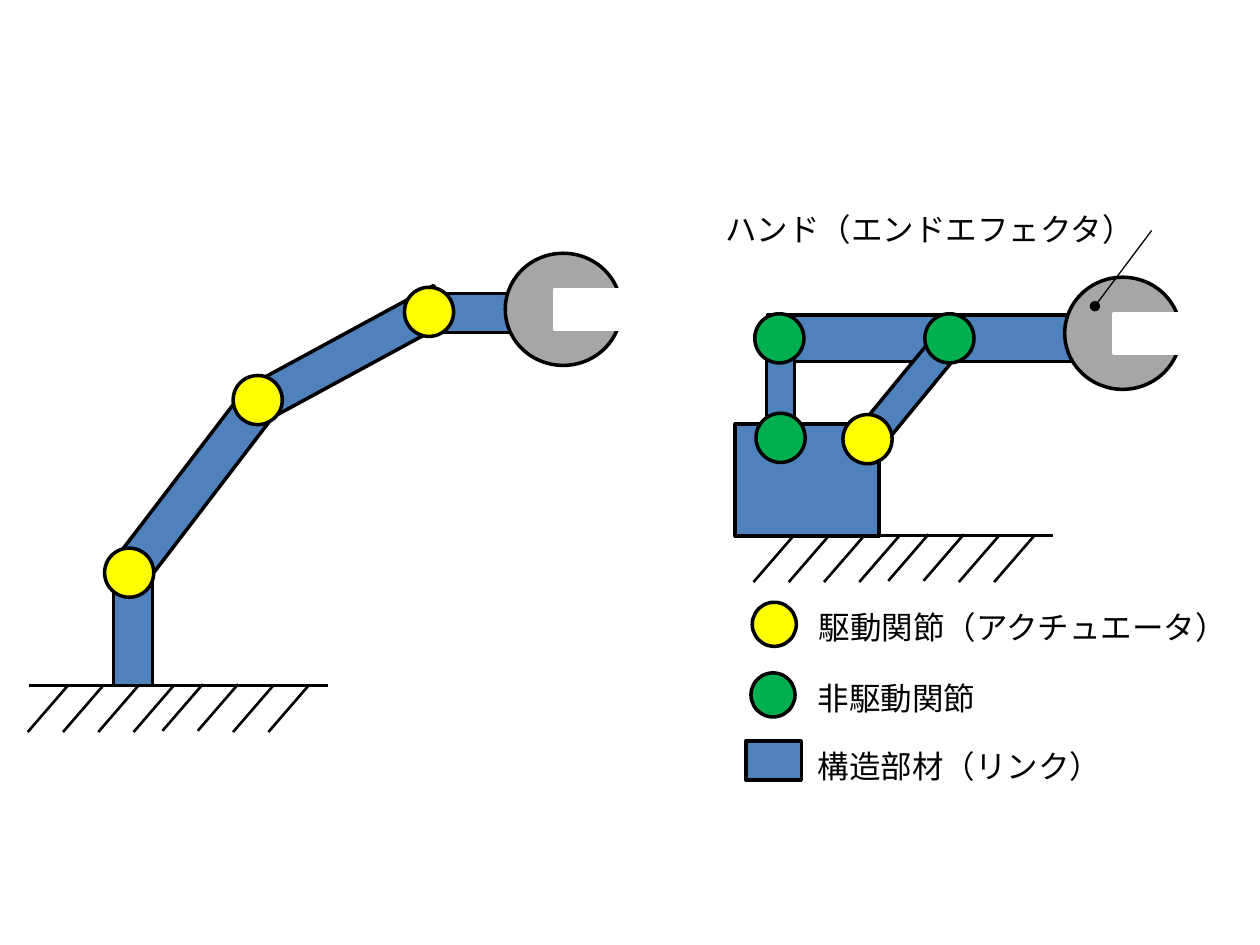
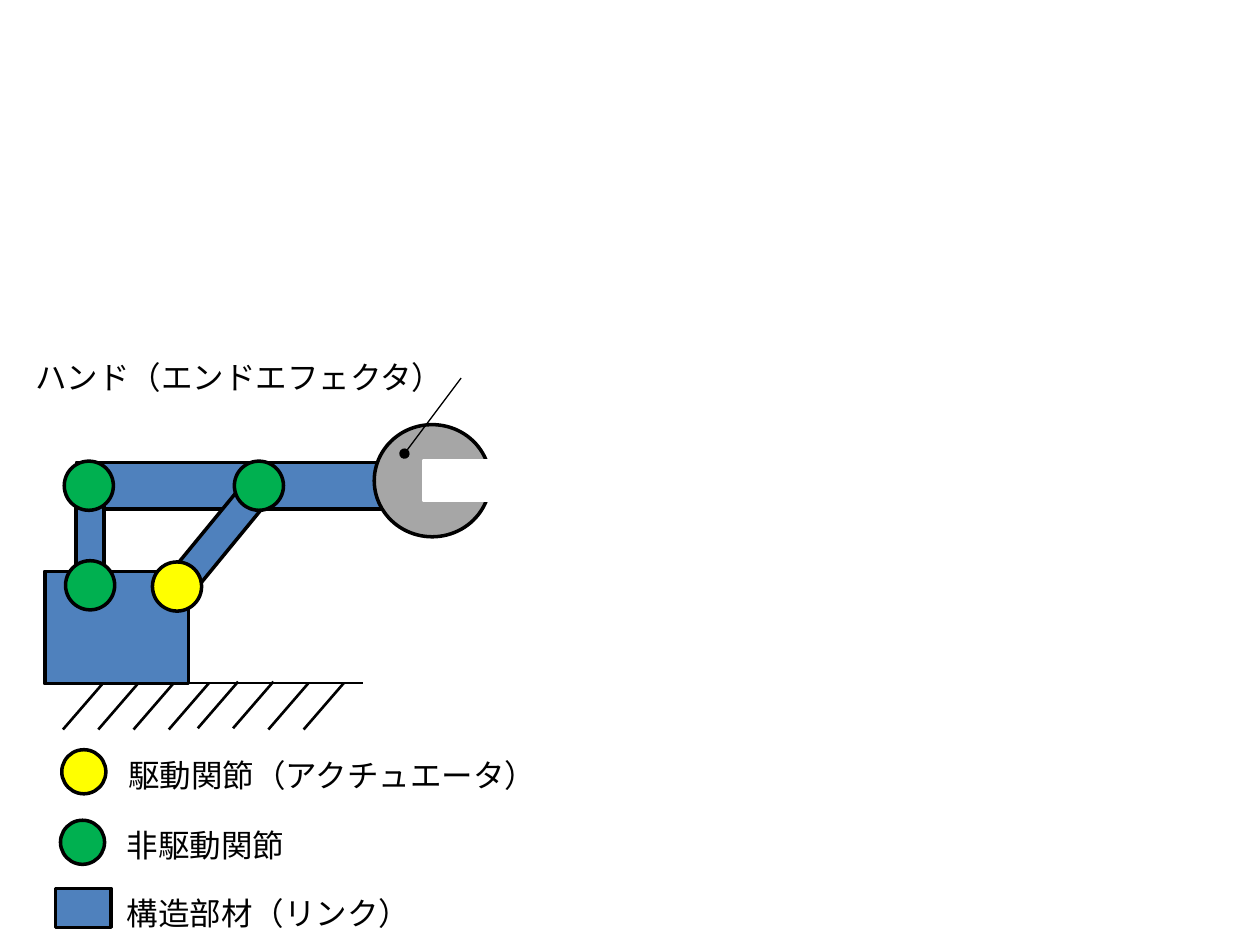
from lxml import etree
from pptx import Presentation
from pptx.dml.color import RGBColor
from pptx.enum import shapes, text
from pptx.oxml.ns import qn
from pptx.util import Inches, Pt

BLUE, YELLOW, GREEN = "4F81BD", "FFFF00", "00B050"
GREY, WHITE, BLACK = "A6A6A6", "FFFFFF", "000000"
FONT = "Noto Sans CJK JP"
RECT, OVAL = shapes.MSO_SHAPE.RECTANGLE, shapes.MSO_SHAPE.OVAL


def add_part(group, kind, x, y, w, h, fill, edge=BLACK, angle=0):
    s = group.shapes.add_shape(kind, Inches(x), Inches(y), Inches(w), Inches(h))
    s.shadow.inherit = False
    s.fill.solid()
    s.fill.fore_color.rgb = RGBColor.from_string(fill)
    s.line.color.rgb = RGBColor.from_string(edge)
    s.line.width = Pt(2)
    s.rotation = angle


def add_line(group, x1, y1, x2, y2, width=1.5):
    c = group.shapes.add_connector(shapes.MSO_CONNECTOR.STRAIGHT,
                                   Inches(x1), Inches(y1), Inches(x2), Inches(y2))
    c.line.color.rgb = RGBColor.from_string(BLACK)
    c.line.width = Pt(width)
    etree.SubElement(c._element.spPr, qn("a:effectLst"))
    return c


# Links: left, top, width, height, angle; joints: left, top, colour
serial_arm = dict(
    links=[(0.61, 4.84, 0.89, 0.31, 90), (3.36, 2.33, 0.89, 0.31, 0),
           (0.62, 3.79, 1.73, 0.31, 307.4), (1.89, 2.66, 1.73, 0.31, 331.5)],
    ground=(0.23, 5.44), hand=(4.01, 2.01), braces=[],
    joints=[(1.85, 2.98, YELLOW), (3.21, 2.28, YELLOW), (0.83, 4.35, YELLOW)],
    leader=None, legend=[], labels=[])
parallel_arm = dict(
    links=[(5.96, 3.24, 0.89, 1.14, 90), (6.09, 2.5, 2.52, 0.37, 0)],
    ground=(5.99, 4.25), hand=(8.45, 2.2),
    braces=[(5.78, 3, 0.83, 0.22, 270), (6.79, 2.99, 0.83, 0.24, 309.4)],
    joints=[(7.34, 2.49, GREEN), (6.69, 3.29, YELLOW),
            (5.99, 2.49, GREEN), (6, 3.28, GREEN)],
    leader=(9.14, 1.83, 8.69, 2.43),
    legend=[(OVAL, 5.97, 4.78, 0.35, 0.35, YELLOW),
            (OVAL, 5.96, 5.34, 0.35, 0.35, GREEN),
            (RECT, 5.92, 5.88, 0.44, 0.31, BLUE)],
    labels=[(5.66, 1.62, "ハンド（エンドエフェクタ）"),
            (6.4, 4.78, "駆動関節（アクチュエータ）"),
            (6.39, 5.34, "非駆動関節"),
            (6.39, 5.88, "構造部材（リンク）")])

prs = Presentation()
prs.slide_width, prs.slide_height = Inches(10), Inches(7.5)
both_arms = prs.slides.add_slide(prs.slide_layouts[6])
parallel_only = prs.slides.add_slide(prs.slide_layouts[6])

# Each arm is one group, moved by dx and dy
for slide, arm, dx, dy in [(both_arms, serial_arm, 0, 0),
                           (both_arms, parallel_arm, 0, 0),
                           (parallel_only, parallel_arm, -5.48, 1.17)]:
    group = slide.shapes.add_group_shape()

    # Links behind the ground and the hand
    for x, y, w, h, angle in arm["links"]:
        add_part(group, RECT, x + dx, y + dy, w, h, BLUE, angle=angle)

    # Ground line with two runs of four hatches
    x, y = arm["ground"][0] + dx, arm["ground"][1] + dy
    add_line(group, x, y, x + 2.37, y)
    for start, lifts in [(0.31, (0, 0, 0, 0)), (1.38, (0.01, 0.01, 0, 0))]:
        for i, lift in enumerate(lifts):
            top_x = x + start + 0.28 * i
            add_line(group, top_x, y - lift, top_x - 0.32, y - lift + 0.37)

    # Hand with its open jaw
    x, y = arm["hand"][0] + dx, arm["hand"][1] + dy
    add_part(group, OVAL, x, y, 0.92, 0.89, GREY)
    add_part(group, RECT, x + 0.39, y + 0.29, 0.55, 0.31, WHITE, WHITE)

    # Braces, then the joints on top of them
    for x, y, w, h, angle in arm["braces"]:
        add_part(group, RECT, x + dx, y + dy, w, h, BLUE, angle=angle)
    for x, y, colour in arm["joints"]:
        add_part(group, OVAL, x + dx, y + dy, 0.39, 0.39, colour)

    # Leader to the hand
    if arm["leader"]:
        x1, y1, x2, y2 = arm["leader"]
        c = add_line(group, x1 + dx, y1 + dy, x2 + dx, y2 + dy, 0.75)
        etree.SubElement(c.line._get_or_add_ln(), qn("a:tailEnd"), type="oval")

    # Legend symbols and labels
    for kind, x, y, w, h, colour in arm["legend"]:
        add_part(group, kind, x + dx, y + dy, w, h, colour)
    for x, y, label in arm["labels"]:
        width = 0.25 * len(label) + 0.21
        tf = group.shapes.add_textbox(Inches(x + dx), Inches(y + dy),
                                      Inches(width), Inches(0.4)).text_frame
        tf.word_wrap = False
        tf.auto_size = text.MSO_AUTO_SIZE.SHAPE_TO_FIT_TEXT
        p = tf.paragraphs[0]
        p.text = label
        p.font.size = Pt(18)
        p.font.color.rgb = RGBColor.from_string(BLACK)
        p.font.name = FONT
        etree.SubElement(p._p.pPr.find(qn("a:defRPr")), qn("a:ea"), typeface=FONT)

prs.save("out.pptx")
